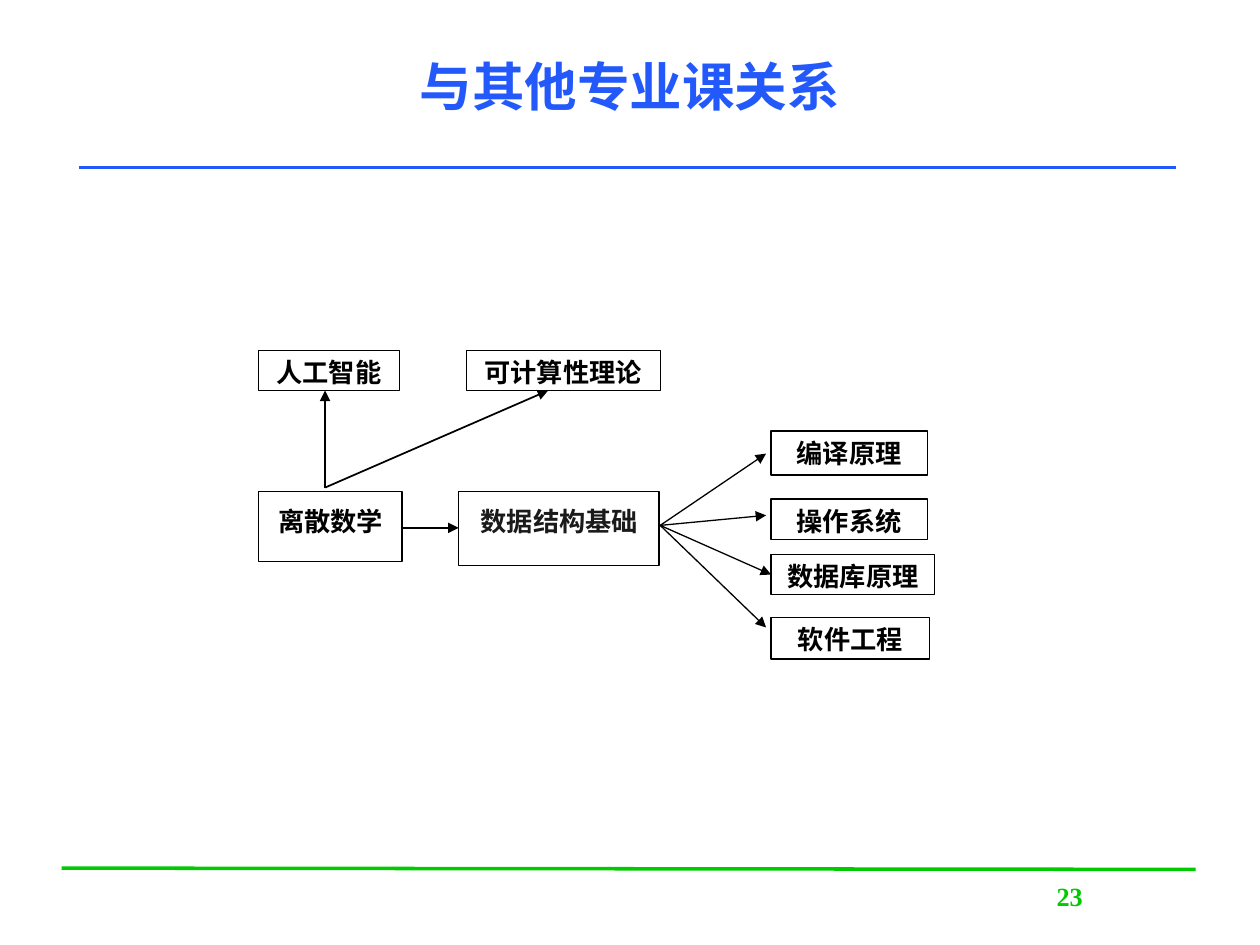
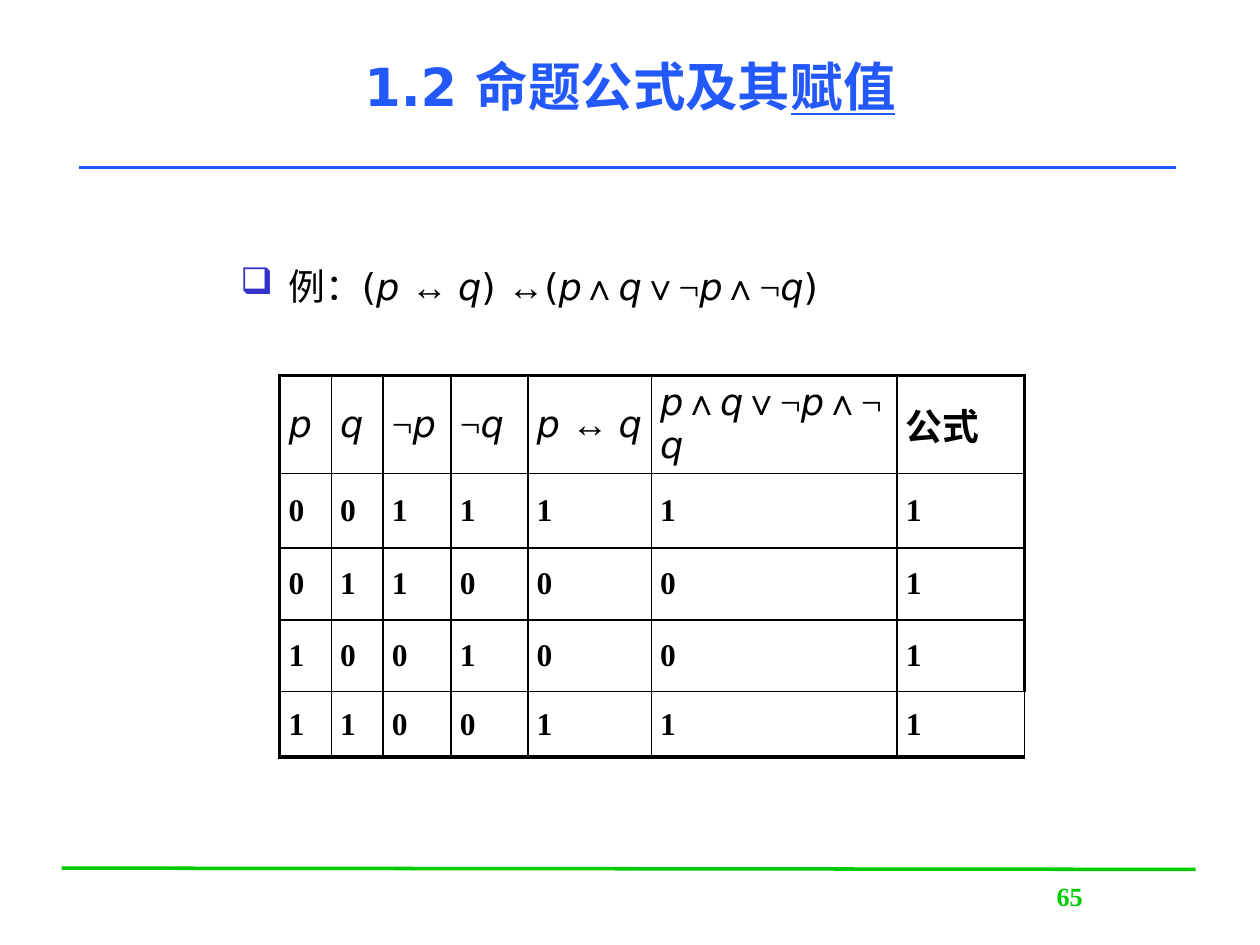
import itertools
from dataclasses import dataclass
from typing import NamedTuple

import pptx
import pptx.dml.color
import pptx.enum.shapes
import pptx.enum.text
import pptx.oxml
import pptx.oxml.ns
import pptx.util

Inches, Pt = pptx.util.Inches, pptx.util.Pt
ALIGN = pptx.enum.text.PP_ALIGN
ANCHOR = pptx.enum.text.MSO_ANCHOR
RECT = pptx.enum.shapes.MSO_SHAPE.RECTANGLE
STRAIGHT = pptx.enum.shapes.MSO_CONNECTOR.STRAIGHT


@dataclass(frozen=True)
class Theme:
    blue: str = "2359FB"
    green: str = "00CB00"
    bullet: str = "3333CC"
    black: str = "000000"
    white: str = "FFFFFF"
    sans: str = "DejaVu Sans"
    serif: str = "Times New Roman"
    arrow: str = "Arial"
    title: int = 30
    formula: int = 21
    value: int = 18
    label: int = 15
    thin: float = 0.75
    inner: float = 1
    rule: float = 2
    outer: float = 2.25


T = Theme()


class Run(NamedTuple):
    text: str
    size: int
    font: str = T.serif
    color: str = T.black
    bold: bool = False
    italic: bool = False
    underline: bool = False


class Box(NamedTuple):
    x: float
    y: float
    w: float
    h: float


class Course(NamedTuple):
    name: str
    box: Box


class Arrow(NamedTuple):
    x1: float
    y1: float
    x2: float
    y2: float
    width: float = T.thin


# Drawing helpers
def rgb(color: str) -> pptx.dml.color.RGBColor:
    return pptx.dml.color.RGBColor.from_string(color)


def xml(parent, markup: str, index: int | None = None) -> None:
    """Add one DrawingML element under parent."""
    tag, _, rest = markup.partition(" ")
    el = pptx.oxml.parse_xml(f"<{tag} {pptx.oxml.ns.nsdecls('a')} {rest}")
    parent.insert(len(parent) if index is None else index, el)


def write(tf, runs: list[Run], align=None, before: float = 0, inset=(0.1, 0.05), anchor=ANCHOR.TOP):
    tf.word_wrap = True
    tf.vertical_anchor = anchor
    tf.margin_left = tf.margin_right = Inches(inset[0])
    tf.margin_top = tf.margin_bottom = Inches(inset[1])
    p = tf.paragraphs[0]
    p.alignment = align
    p.space_before = Pt(before)
    add_runs(p, runs)
    return p


def add_runs(p, runs: list[Run]) -> None:
    for run in runs:
        r = p.add_run()
        r.text = run.text
        f = r.font
        f.size, f.name = Pt(run.size), run.font
        f.bold, f.italic, f.underline = run.bold, run.italic, run.underline
        f.color.rgb = rgb(run.color)


def add_text(s, box: Box, runs: list[Run], **style):
    sp = s.shapes.add_textbox(*map(Inches, box))
    return write(sp.text_frame, runs, **style)


def add_rect(s, box: Box, fill: str | None = T.white):
    sp = s.shapes.add_shape(RECT, *map(Inches, box))
    sp.shadow.inherit = False
    sp.line.color.rgb = rgb(T.black)
    sp.line.width = Pt(T.thin)
    if fill:
        sp.fill.solid()
        sp.fill.fore_color.rgb = rgb(fill)
    else:
        sp.fill.background()
    return sp


def add_line(s, a: Arrow, color: str = T.black, head: bool = True) -> None:
    c = s.shapes.add_connector(STRAIGHT, *map(Inches, a[:4]))
    c.line.color.rgb = rgb(color)
    c.line.width = Pt(a.width)
    if head:
        xml(c.line._get_or_add_ln(), 'a:tailEnd type="triangle"/>')
    xml(c._element.spPr, "a:effectLst />")


def label(text: str) -> list[Run]:
    return [Run(text, T.label, bold=True)]


def formula(text: str) -> list[Run]:
    """Variables are sans italic, brackets sans, arrows Arial, the rest serif."""
    styles, style = [], (T.serif, False)
    for ch in text:
        if ch in "pq":
            style = (T.sans, True)
        elif ch in "()":
            style = (T.sans, False)
        elif ch == "↔":
            style = (T.arrow, False)
        elif ch != " ":  # a space keeps the style before it
            style = (T.serif, False)
        styles.append((style, ch))
    return [Run("".join(ch for _, ch in group), T.formula, font, italic=italic)
            for (font, italic), group in itertools.groupby(styles, key=lambda x: x[0])]


# Frame shared by both slides
def add_slide(prs, number: int, title: str, underlined: str = ""):
    s = prs.slides.add_slide(prs.slide_layouts[6])
    add_line(s, Arrow(0.49, 6.89, 9.49, 6.9, T.rule), T.green, head=False)
    add_line(s, Arrow(0.63, 1.33, 9.33, 1.33, T.rule), T.blue, head=False)
    add_text(s, Box(7.7, 6.95, 1.58, 0.5), [Run(str(number), T.label, color=T.green, bold=True)],
             align=ALIGN.CENTER, before=T.label / 2, inset=(0.07, 0.04))
    runs = [Run(title, T.title, T.sans, T.blue, bold=True)]
    if underlined:
        runs.append(runs[0]._replace(text=underlined, underline=True))
    add_text(s, Box(0.75, 0.05, 8.5, 1.25), runs, align=ALIGN.CENTER, anchor=ANCHOR.MIDDLE)
    return s


# Slide 1: how the courses depend on each other
COURSES = [
    Course("数据库原理", Box(6.12, 4.4, 1.3, 0.32)),
    Course("软件工程", Box(6.12, 4.9, 1.26, 0.33)),
    Course("操作系统", Box(6.12, 3.96, 1.24, 0.32)),
    Course("编译原理", Box(6.12, 3.42, 1.24, 0.35)),
    Course("人工智能", Box(2.05, 2.78, 1.12, 0.32)),
    Course("可计算性理论", Box(3.7, 2.78, 1.54, 0.32)),
]
ARROWS = [
    Arrow(3.18, 4.19, 3.64, 4.19),
    *(Arrow(5.24, 4.17, x, y) for x, y in [(6.08, 4.09), (6.08, 3.6), (6.08, 4.98), (6.12, 4.56)]),
    *(Arrow(2.58, 3.87, x, 3.1, T.inner) for x in (2.58, 4.35)),
]


def courses_slide(prs) -> None:
    s = add_slide(prs, 23, "与其他专业课关系")
    add_text(s, Box(3.64, 3.96, 1.6, 0.33), label("数据结构基础"), align=ALIGN.CENTER)
    add_text(s, Box(2.11, 3.96, 1.15, 0.46), label("离散数学"), align=ALIGN.JUSTIFY)
    veil = add_rect(s, Box(3.64, 3.9, 1.59, 0.59))
    xml(veil._element.spPr.find(".//" + pptx.oxml.ns.qn("a:srgbClr")), 'a:alpha val="10000"/>')
    add_rect(s, Box(2.05, 3.9, 1.14, 0.56), fill=None)
    for course in COURSES:
        sp = add_rect(s, course.box)
        write(sp.text_frame, label(course.name), align=ALIGN.CENTER)
    for arrow in ARROWS:
        add_line(s, arrow)


# Slide 2: truth table
COLS = [0.41, 0.41, 0.54, 0.61, 0.98, 1.95, 1.01]
ROWS = [0.59, 0.59, 0.57, 0.57, 0.52]
HEADS = ["p", "q", "¬p", "¬q", "p ↔ q", "p∧q∨¬p∧¬q"]
VALUES = ["0011111", "0110001", "1001001", "1100111"]


def add_borders(cell, row: int, col: int) -> None:
    last_row, last_col = row == len(ROWS) - 1, col == len(COLS) - 1
    heavy = {"L": col == 0, "R": last_col and not last_row, "T": row == 0, "B": last_row}
    for i, (side, thick) in enumerate(heavy.items()):
        width = Pt(T.outer if thick else T.inner)
        xml(cell._tc.get_or_add_tcPr(),
            f'a:ln{side} w="{width}"><a:solidFill><a:srgbClr val="{T.black}"/></a:solidFill></a:ln{side}>', i)


def add_truth_table(s) -> None:
    frame = s.shapes.add_table(len(ROWS), len(COLS), Inches(2.22), Inches(2.98),
                               Inches(sum(COLS)), Inches(sum(ROWS)))
    table = frame.table
    table.first_row = table.horz_banding = False
    for column, width in zip(table.columns, COLS):
        column.width = Inches(width)
    for row, height in zip(table.rows, ROWS):
        row.height = Inches(height)

    heads = [formula(h) for h in HEADS] + [[Run("公式", T.formula, bold=True)]]
    body = [[[Run(v, T.value, bold=True)] for v in line] for line in VALUES]
    for i, line in enumerate([heads] + body):
        for j, runs in enumerate(line):
            cell = table.cell(i, j)
            cell.vertical_anchor = ANCHOR.MIDDLE
            cell.margin_left = cell.margin_right = Inches(0.07)
            cell.margin_top = cell.margin_bottom = Inches(0.04)
            p = cell.text_frame.paragraphs[0]
            p.space_before = Pt(runs[0].size * 0.2)
            add_runs(p, runs)
            add_borders(cell, i, j)
            cell.fill.background()


def formula_slide(prs) -> None:
    s = add_slide(prs, 65, "1.2 命题公式及其", "赋值")
    p = add_text(s, Box(1.81, 2.04, 6.49, 4.02), formula("例：(p ↔ q) ↔(p∧q∨¬p∧¬q)"),
                 before=T.formula * 0.2)
    pPr = p._p.get_or_add_pPr()
    pPr.set("marL", str(Inches(0.38)))
    pPr.set("indent", str(Inches(-0.38)))
    xml(pPr, f'a:buClr ><a:srgbClr val="{T.bullet}"/></a:buClr>')
    xml(pPr, 'a:buChar char="❑"/>')
    add_truth_table(s)


def main() -> None:
    prs = pptx.Presentation()
    prs.slide_width, prs.slide_height = Inches(10), Inches(7.5)
    courses_slide(prs)
    formula_slide(prs)
    prs.save("out.pptx")


if __name__ == "__main__":
    main()
